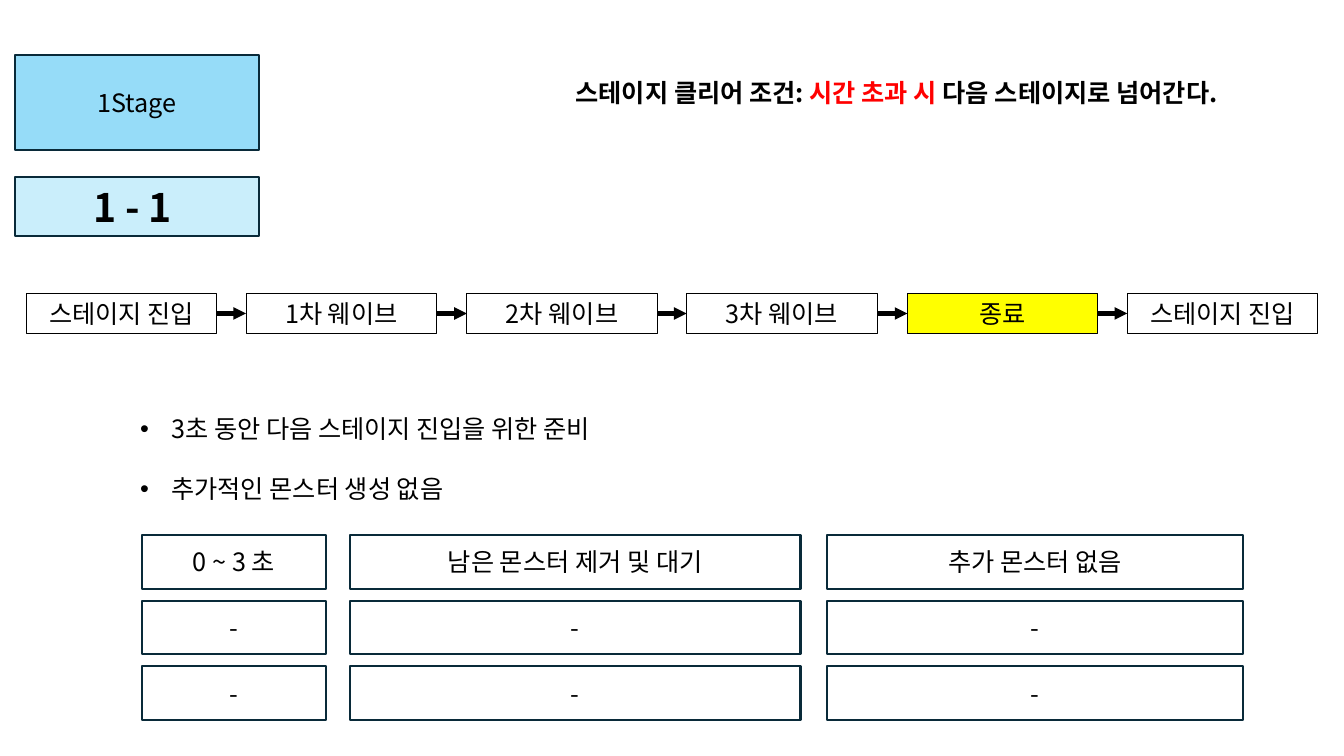
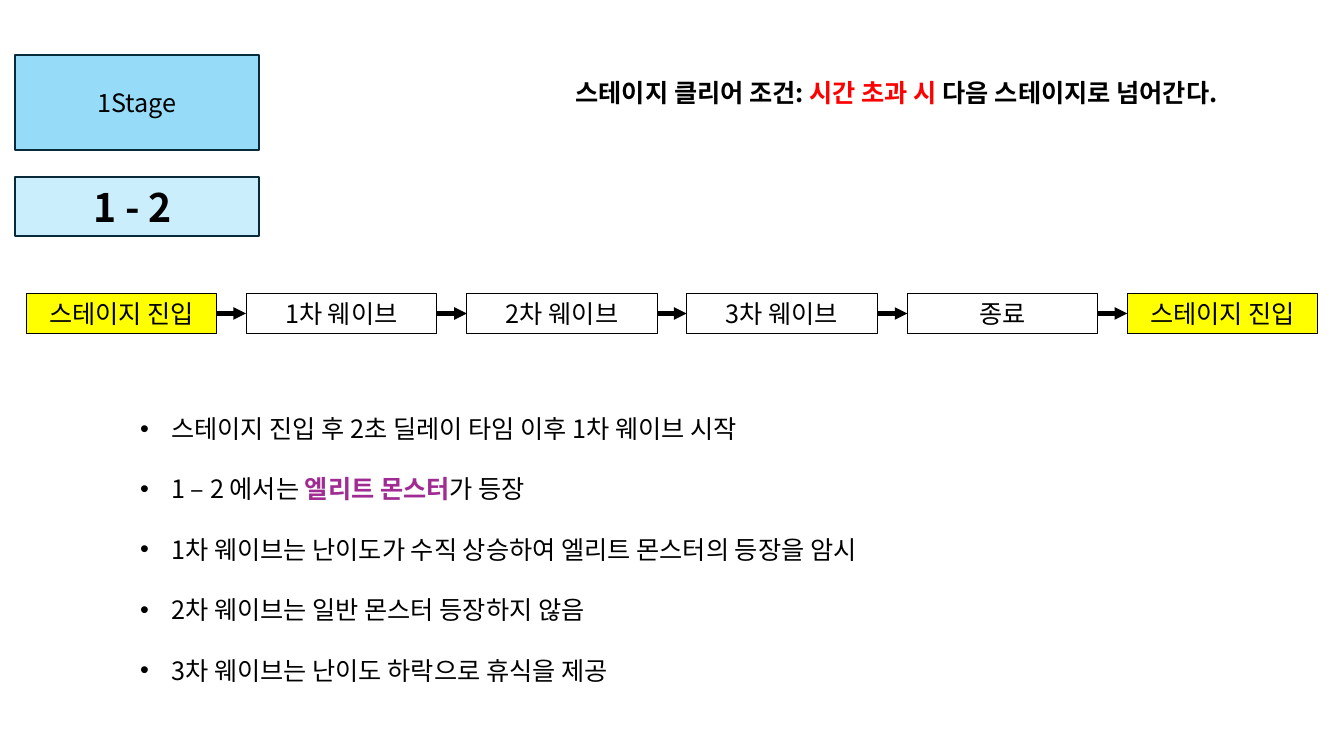
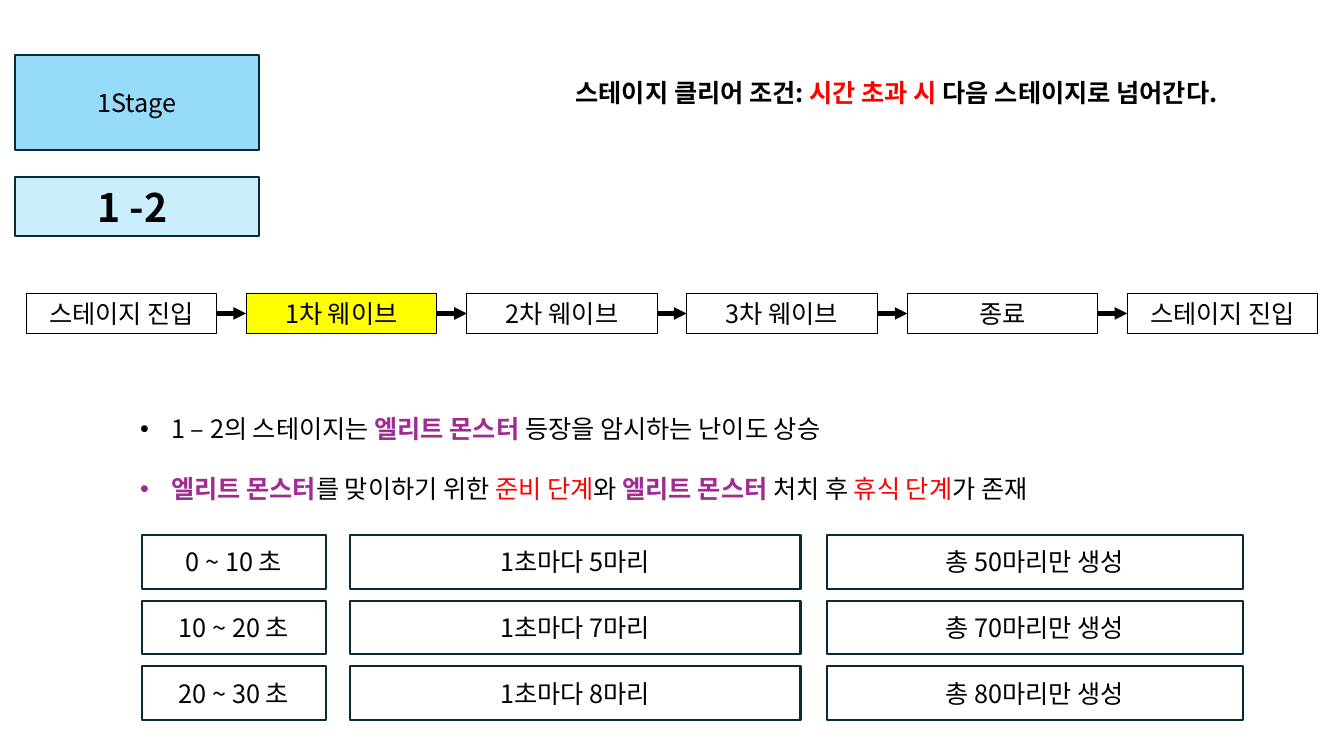
from dataclasses import dataclass
from typing import Any, NamedTuple

from lxml.etree import SubElement
from pptx import Presentation
from pptx.dml.color import RGBColor
from pptx.enum.shapes import MSO_CONNECTOR, MSO_SHAPE
from pptx.enum.text import MSO_ANCHOR, MSO_AUTO_SIZE, PP_ALIGN
from pptx.oxml.ns import qn
from pptx.util import Emu, Pt

# Shared scale, font and colours
EMU_PER_PX = 9144  # 100 px to the inch
FONT = "Noto Sans CJK KR"
BLACK = RGBColor(0x00, 0x00, 0x00)
RED = RGBColor(0xFF, 0x00, 0x00)
PURPLE = RGBColor(0xA0, 0x2B, 0x93)
YELLOW = RGBColor(0xFF, 0xFF, 0x00)
NAVY = RGBColor(0x09, 0x2A, 0x39)
SKY = RGBColor(0x96, 0xDC, 0xF8)
PALE_SKY = RGBColor(0xCA, 0xEE, 0xFB)


class Area(NamedTuple):
    left: int
    top: int
    width: int
    height: int


class Span(NamedTuple):
    text: str
    color: RGBColor = BLACK
    bold: bool = False


@dataclass(frozen=True)
class BoxStyle:
    fill: RGBColor | None
    line: RGBColor
    weight: float
    frame: dict[str, Any]
    size: int = 18


@dataclass(frozen=True)
class StagePage:
    title: str
    active_steps: tuple[int, ...]
    bullets: tuple[tuple[Span, ...], ...]
    bullets_height: int
    rows: tuple[tuple[str, str, str], ...] = ()


# Layout
STAGE_AREA = Area(15, 55, 242, 94)
TITLE_AREA = Area(15, 176, 242, 58)
CONDITION_AREA = Area(561, 72, 739, 40)
STEP_FIRST, STEP_LAST = 26, 1118
STEP_TOP, STEP_WIDTH, STEP_HEIGHT = 291, 189, 40
BULLETS_LEFT, BULLETS_TOP, BULLETS_WIDTH = 129, 375, 1092
BULLET_INDENT = 31
COLUMNS = ((141, 182), (347, 447), (820, 413))
ROW_TOP, ROW_PITCH, ROW_HEIGHT = 531, 65, 53

# Styles
MIDDLE = {
    "word_wrap": True,
    "auto_size": MSO_AUTO_SIZE.NONE,
    "vertical_anchor": MSO_ANCHOR.MIDDLE,
}
GROWING = {
    "word_wrap": True,
    "auto_size": MSO_AUTO_SIZE.SHAPE_TO_FIT_TEXT,
    "vertical_anchor": MSO_ANCHOR.TOP,
}
STAGE_STYLE = BoxStyle(SKY, NAVY, 1.5, MIDDLE)
TITLE_STYLE = BoxStyle(PALE_SKY, NAVY, 1.5, MIDDLE, 28)
CELL_STYLE = BoxStyle(None, NAVY, 1.5, MIDDLE)
STEP_STYLE = BoxStyle(None, BLACK, 0.75, GROWING)
ACTIVE_STEP_STYLE = BoxStyle(YELLOW, BLACK, 0.75, GROWING)

# Content
STAGE_NAME = "1Stage"
STEPS = ("스테이지 진입", "1차 웨이브", "2차 웨이브", "3차 웨이브", "종료", "스테이지 진입")
CONDITION = (
    Span("스테이지 클리어 조건: ", bold=True),
    Span("시간 초과 시 ", RED, True),
    Span("다음 스테이지로 넘어간다.", bold=True),
)
ELITE = Span("엘리트 몬스터", PURPLE, True)

PAGES = (
    StagePage(
        title="1 - 1 ",
        active_steps=(4,),
        bullets=(
            (Span("3초 동안 다음 스테이지 진입을 위한 준비"),),
            (Span("추가적인 몬스터 생성 없음"),),
        ),
        bullets_height=122,
        rows=(
            ("0 ~ 3 초", "남은 몬스터 제거 및 대기", "추가 몬스터 없음"),
            ("-", "-", "-"),
            ("-", "-", "-"),
        ),
    ),
    StagePage(
        title="1 - 2 ",
        active_steps=(0, 5),
        bullets=(
            (Span("스테이지 진입 후 2초 딜레이 타임 이후 1차 웨이브 시작"),),
            (Span("1 – 2 에서는 "), ELITE, Span("가 등장")),
            (Span("1차 웨이브는 난이도가 수직 상승하여 엘리트 몬스터의 등장을 암시"),),
            (Span("2차 웨이브는 일반 몬스터 등장하지 않음"),),
            (Span("3차 웨이브는 난이도 하락으로 휴식을 제공"),),
        ),
        bullets_height=303,
    ),
    StagePage(
        title="1 -2 ",
        active_steps=(1,),
        bullets=(
            (
                Span("1 – 2의 스테이지는 "),
                Span("엘리트 몬스터 ", PURPLE, True),
                Span("등장을 암시하는 난이도 상승"),
            ),
            (
                ELITE,
                Span("를 맞이하기 위한 "),
                Span("준비 단계", RED),
                Span("와 "),
                ELITE,
                Span(" 처치 후 "),
                Span("휴식 단계", RED),
                Span("가 존재"),
            ),
        ),
        bullets_height=122,
        rows=(
            ("0 ~ 10 초", "1초마다 5마리", "총 50마리만 생성"),
            ("10 ~ 20 초", "1초마다 7마리", "총 70마리만 생성"),
            ("20 ~ 30 초", "1초마다 8마리", "총 80마리만 생성"),
        ),
    ),
)


# Helpers
def px(length: int) -> Emu:
    return Emu(length * EMU_PER_PX)


def scaled(area: Area) -> list[Emu]:
    return [px(length) for length in area]


def apply_format(target: Any, values: dict[str, Any]) -> None:
    for name, value in values.items():
        setattr(target, name, value)


def write_spans(para: Any, spans: tuple[Span, ...], size: int = 18) -> None:
    for span in spans:
        run = para.add_run()
        run.text = span.text
        apply_format(run.font, {"name": FONT, "size": Pt(size), "bold": span.bold})
        run.font.color.rgb = span.color
        east_asian = SubElement(run.font._element, qn("a:ea"))
        east_asian.set("typeface", FONT)


def style_box(box: Any, text: str, style: BoxStyle) -> None:
    if style.fill is None:
        box.fill.background()
    else:
        box.fill.solid()
        box.fill.fore_color.rgb = style.fill
    box.line.color.rgb = style.line
    box.line.width = Pt(style.weight)
    apply_format(box.text_frame, style.frame)
    para = box.text_frame.paragraphs[0]
    para.alignment = PP_ALIGN.CENTER
    write_spans(para, (Span(text, bold=style is TITLE_STYLE),), style.size)


def add_box(slide: Any, area: Area, text: str, style: BoxStyle) -> Any:
    box = slide.shapes.add_shape(MSO_SHAPE.RECTANGLE, *scaled(area))
    box.shadow.inherit = False
    style_box(box, text, style)
    return box


def add_text_box(slide: Any, area: Area) -> Any:
    box = slide.shapes.add_textbox(*scaled(area))
    apply_format(box.text_frame, GROWING)
    return box.text_frame


def add_arrow(slide: Any, start: Any, end: Any) -> None:
    middle = start.top + start.height // 2
    arrow = slide.shapes.add_connector(
        MSO_CONNECTOR.STRAIGHT, start.left + start.width, middle, end.left, middle
    )
    arrow.begin_connect(start, 3)
    arrow.end_connect(end, 1)
    arrow.line.color.rgb = BLACK
    arrow.line.width = Pt(3)
    SubElement(arrow.line._get_or_add_ln(), qn("a:tailEnd")).set("type", "triangle")
    SubElement(arrow._element.spPr, qn("a:effectLst"))


def set_bullet(para: Any) -> None:
    properties = para._p.get_or_add_pPr()
    properties.set("marL", str(px(BULLET_INDENT)))
    properties.set("indent", str(-px(BULLET_INDENT)))
    SubElement(properties, qn("a:buFont")).set("typeface", "Arial")
    SubElement(properties, qn("a:buChar")).set("char", "•")


# Slide parts
def add_header(slide: Any, title_text: str) -> None:
    title = slide.shapes.title
    apply_format(title, dict(zip(("left", "top", "width", "height"), scaled(TITLE_AREA))))
    style_box(title, title_text, TITLE_STYLE)
    add_box(slide, STAGE_AREA, STAGE_NAME, STAGE_STYLE)
    write_spans(add_text_box(slide, CONDITION_AREA).paragraphs[0], CONDITION)


def add_flow(slide: Any, active_steps: tuple[int, ...]) -> None:
    boxes = []
    for index, step in enumerate(STEPS):
        left = STEP_FIRST + round((STEP_LAST - STEP_FIRST) * index / (len(STEPS) - 1))
        style = ACTIVE_STEP_STYLE if index in active_steps else STEP_STYLE
        area = Area(left, STEP_TOP, STEP_WIDTH, STEP_HEIGHT)
        boxes.append(add_box(slide, area, step, style))
    for start, end in zip(boxes, boxes[1:]):
        add_arrow(slide, start, end)


def add_bullets(slide: Any, page: StagePage) -> None:
    area = Area(BULLETS_LEFT, BULLETS_TOP, BULLETS_WIDTH, page.bullets_height)
    frame = add_text_box(slide, area)
    for index, spans in enumerate(page.bullets):
        para = frame.add_paragraph() if index else frame.paragraphs[0]
        para.line_spacing = 2.0
        set_bullet(para)
        write_spans(para, spans)


def add_schedule(slide: Any, rows: tuple[tuple[str, str, str], ...]) -> None:
    for index, row in enumerate(rows):
        top = ROW_TOP + index * ROW_PITCH
        for (left, width), text in zip(COLUMNS, row):
            add_box(slide, Area(left, top, width, ROW_HEIGHT), text, CELL_STYLE)


def main() -> None:
    deck = Presentation()
    deck.slide_width, deck.slide_height = px(1333), px(750)
    title_only = deck.slide_layouts[5]
    for page in PAGES:
        slide = deck.slides.add_slide(title_only)
        add_header(slide, page.title)
        add_flow(slide, page.active_steps)
        add_bullets(slide, page)
        add_schedule(slide, page.rows)
    deck.save("out.pptx")


if __name__ == "__main__":
    main()
